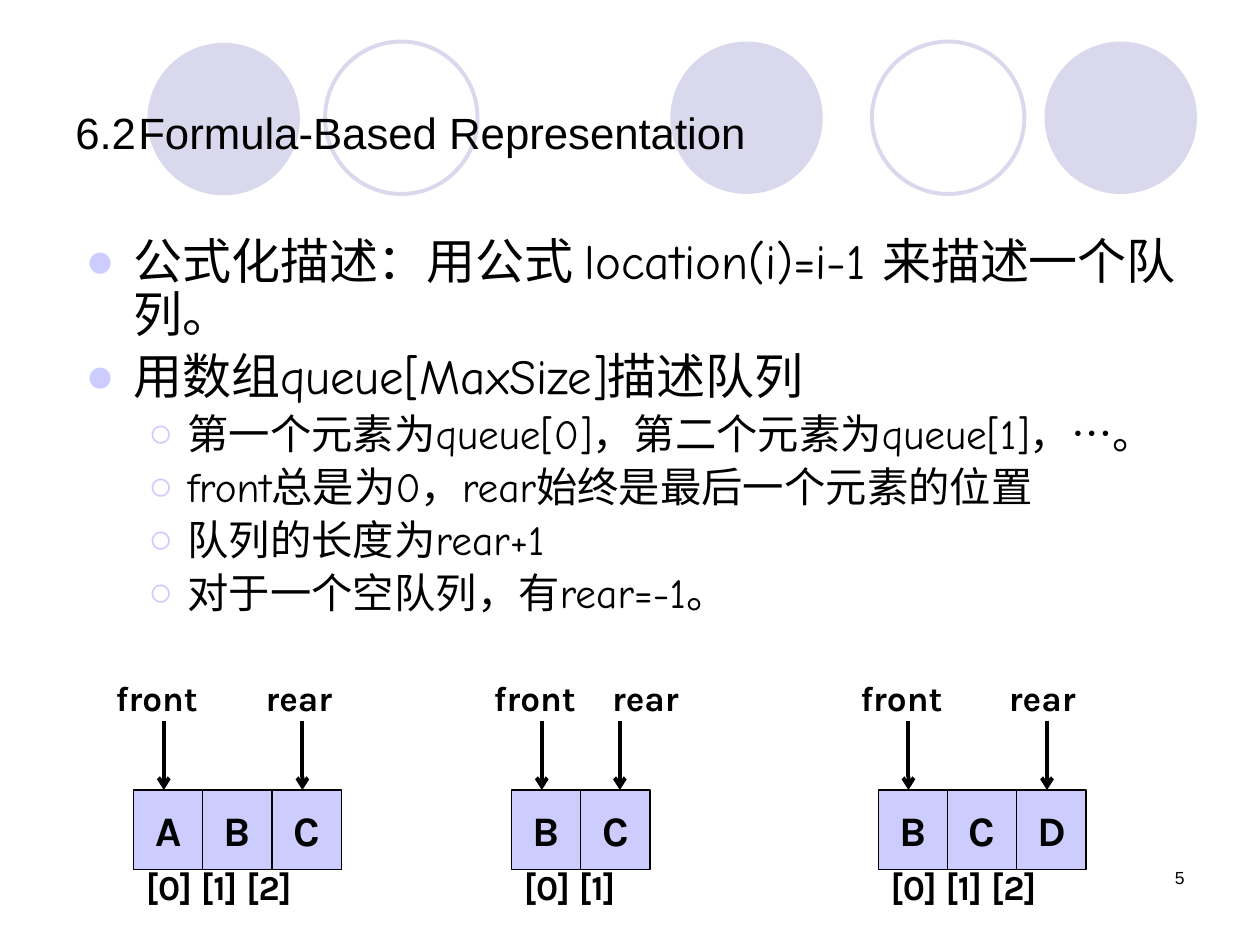
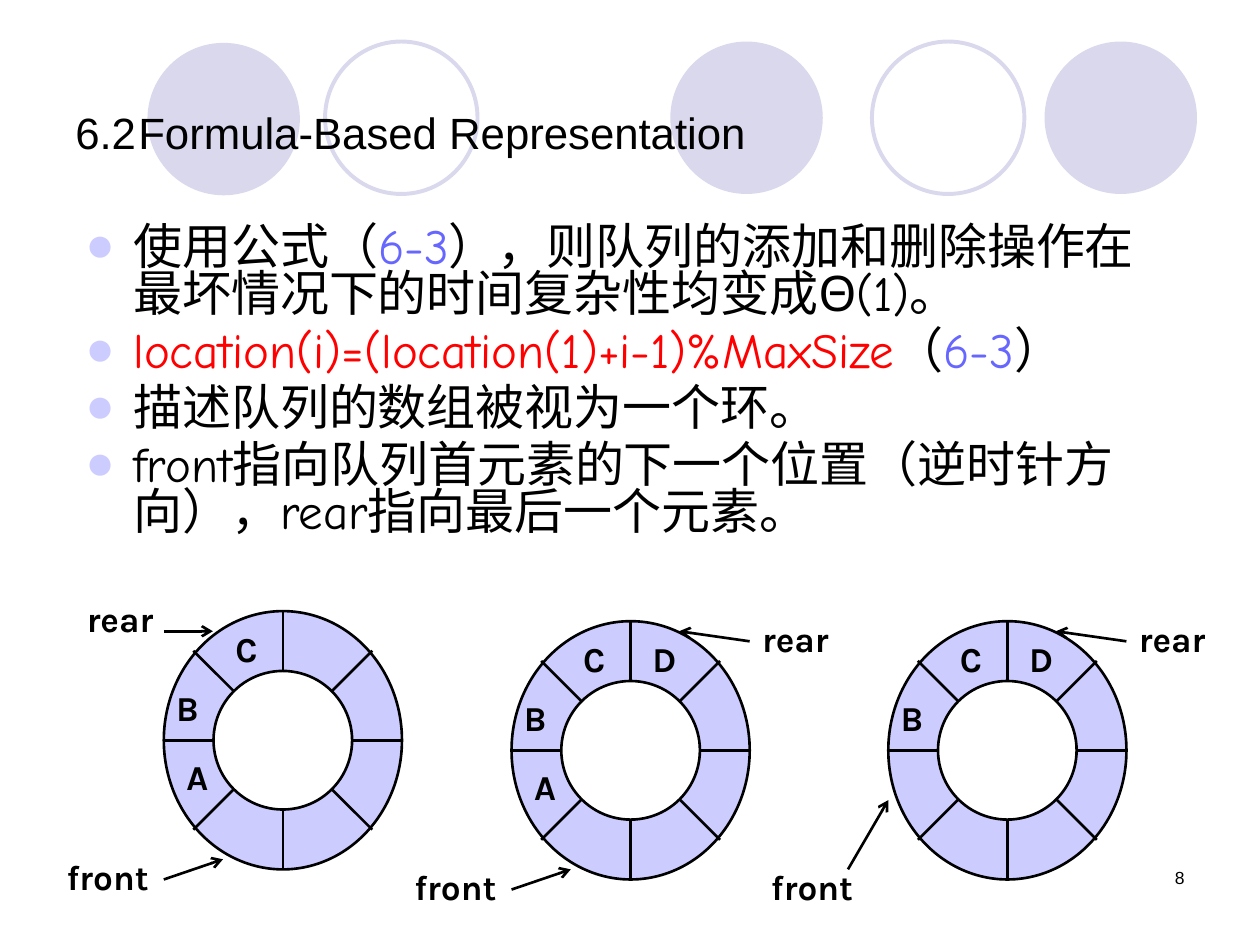
from dataclasses import dataclass

from lxml.etree import SubElement
from pptx import Presentation
from pptx.dml.color import RGBColor
from pptx.enum.shapes import MSO_CONNECTOR, MSO_SHAPE
from pptx.enum.text import MSO_ANCHOR, PP_ALIGN
from pptx.oxml.ns import qn
from pptx.util import Inches, Pt

# Shared colours and fonts
BLACK, WHITE, RED = "000000", "FFFFFF", "FF0000"
CIRCLE, LILAC, REFERENCE = "D9D8EC", "CCCCFF", "6767FF"
TITLE_FONT, BODY_FONT, LABEL_FONT = "Arial", "Comic Neue", "Karla"
TITLE = "6.2\tFormula-Based Representation"

Point = tuple[float, float]
Box = tuple[float, float, float, float]


@dataclass(frozen=True)
class Span:
    text: str
    color: str = BLACK


@dataclass(frozen=True)
class Bullet:
    spans: tuple[Span, ...]
    level: int = 0


@dataclass(frozen=True)
class BulletStyle:
    char: str
    size: float
    margin: float
    hanging: float


@dataclass(frozen=True)
class Queue:
    x: float
    items: str
    rear_tip: float
    rear_label: float


@dataclass(frozen=True)
class Pointer:
    """Label and arrow, measured from the top left of a ring."""
    text: str
    label: Point
    start: Point
    end: Point


@dataclass(frozen=True)
class Ring:
    x: float
    y: float
    items: str
    pointers: tuple[Pointer, Pointer]


BULLETS = (BulletStyle("●", 28, 0.38, 0.38), BulletStyle("○", 23.6, 0.81, 0.31))


# Basic drawing
def rgb(color: str) -> RGBColor:
    return RGBColor.from_string(color)


def write(p, text: str, *, size: float, font: str, color: str = BLACK,
          bold: bool = False, align=PP_ALIGN.LEFT) -> None:
    p.alignment = align
    r = p.add_run()
    r.text = text
    r.font.size, r.font.name, r.font.bold = Pt(size), font, bold
    r.font.color.rgb = rgb(color)


def add_frame(shapes, box: Box, anchor=MSO_ANCHOR.TOP):
    tf = shapes.add_textbox(*map(Inches, box)).text_frame
    tf.word_wrap = True
    tf.vertical_anchor = anchor
    return tf


def add_label(shapes, text: str, x: float, y: float, width: float) -> None:
    tf = add_frame(shapes, (x, y, width, 0.43))
    write(tf.paragraphs[0], text, size=20, font=LABEL_FONT, bold=True)


def add_shape(shapes, kind, box: Box, *, fill: str = "", line: str = "",
              width: float = 0):
    sp = shapes.add_shape(kind, *map(Inches, box))
    sp.shadow.inherit = False
    if fill:
        sp.fill.solid()
        sp.fill.fore_color.rgb = rgb(fill)
    else:
        sp.fill.background()
    if line:
        sp.line.color.rgb = rgb(line)
        sp.line.width = Pt(width)
    else:
        sp.line.fill.background()
    return sp


def add_line(shapes, start: Point, end: Point, *, width: float = 1.5,
             arrow: bool = False) -> None:
    c = shapes.add_connector(MSO_CONNECTOR.STRAIGHT, *map(Inches, start + end))
    c.line.color.rgb = rgb(BLACK)
    c.line.width = Pt(width)
    if arrow:
        SubElement(c.line._get_or_add_ln(), qn("a:tailEnd"), type="arrow")
    SubElement(c._element.spPr, qn("a:effectLst"))


# Shared parts of a slide
def add_slide(prs, number: int):
    s = prs.slides.add_slide(prs.slide_layouts[6])
    s.background.fill.solid()
    s.background.fill.fore_color.rgb = rgb(WHITE)
    for x, y in ((5.32, 0.33), (8.29, 0.33), (1.17, 0.34)):
        add_shape(s.shapes, MSO_SHAPE.OVAL, (x, y, 1.21, 1.21), fill=CIRCLE)
    for x in (6.92, 2.58):
        add_shape(s.shapes, MSO_SHAPE.OVAL, (x, 0.33, 1.21, 1.21),
                  line=CIRCLE, width=2.25)
    tf = add_frame(s.shapes, (7.17, 6.83, 2.33, 0.5))
    write(tf.paragraphs[0], str(number), size=10, font=TITLE_FONT,
          align=PP_ALIGN.RIGHT)
    tf = add_frame(s.shapes, (0.5, 0.54, 9, 1.01), MSO_ANCHOR.MIDDLE)
    write(tf.paragraphs[0], TITLE, size=25, font=TITLE_FONT)
    return s


def add_bullets(shapes, box: Box, bullets: list[Bullet], spacing: float) -> None:
    tf = add_frame(shapes, box)
    for i, bullet in enumerate(bullets):
        style = BULLETS[bullet.level]
        p = tf.add_paragraph() if i else tf.paragraphs[0]
        p.level = bullet.level
        p.line_spacing = spacing
        p.space_before = Pt(0.2 * style.size)
        for span in bullet.spans:
            write(p, span.text, size=style.size, font=BODY_FONT, color=span.color)
        pPr = p._p.get_or_add_pPr()
        pPr.set("marL", str(Inches(style.margin)))
        pPr.set("indent", str(-Inches(style.hanging)))
        SubElement(SubElement(pPr, qn("a:buClr")), qn("a:srgbClr"), val=LILAC)
        SubElement(pPr, qn("a:buFont"), typeface=TITLE_FONT)
        SubElement(pPr, qn("a:buChar"), char=style.char)


# Array diagram
def add_queue(shapes, q: Queue) -> None:
    cell, top, height = 0.55, 6.27, 0.63
    indexes = " ".join(f"[{i}]" for i in range(len(q.items)))
    add_label(shapes, indexes, q.x, 6.82, 1.73)
    for tip in (0.24, q.rear_tip):
        add_line(shapes, (q.x + tip, 5.72), (q.x + tip, top), width=2.25, arrow=True)
    add_label(shapes, "front", q.x - 0.24, 5.32, 0.95)
    add_label(shapes, "rear", q.x + q.rear_label, 5.32, 0.87)
    for i, item in enumerate(q.items):
        sp = add_shape(shapes, MSO_SHAPE.RECTANGLE,
                       (q.x + i * cell, top, cell, height),
                       fill=LILAC, line=BLACK, width=0.75)
        tf = sp.text_frame
        tf.word_wrap = False
        tf.vertical_anchor = MSO_ANCHOR.MIDDLE
        write(tf.paragraphs[0], item, size=24, font=LABEL_FONT, bold=True,
              align=PP_ALIGN.CENTER)


# Ring diagram
ITEM_PLACES = {"A": (0.08, 1.1), "B": (0, 0.55), "C": (0.47, 0.08), "D": (1.02, 0.08)}
LABEL_WIDTHS = {"front": 0.95, "rear": 0.79}


def add_ring(shapes, ring: Ring) -> None:
    width, height, hole = 1.89, 2.05, 1.1
    cx, cy = ring.x + width / 2, ring.y + height / 2
    group = shapes.add_group_shape().shapes
    for w, h, fill in ((width, height, LILAC), (hole, hole, WHITE)):
        add_shape(group, MSO_SHAPE.OVAL, (cx - w / 2, cy - h / 2, w, h),
                  fill=fill, line=BLACK, width=1.5)
    for dx in (-1, 0, 1):
        for dy in (-1, 0, 1):
            if dx and dy:
                inner, outer = (0.39, 0.39), (0.71, 0.71)
            elif dx or dy:
                inner, outer = (hole / 2, hole / 2), (width / 2, height / 2)
            else:
                continue
            add_line(group, (cx + dx * inner[0], cy + dy * inner[1]),
                     (cx + dx * outer[0], cy + dy * outer[1]))

    def place(offset: Point) -> Point:
        return ring.x + offset[0], ring.y + offset[1]

    for item in ring.items:
        add_label(shapes, item, *place(ITEM_PLACES[item]), 0.39)
    for ptr in ring.pointers:
        add_label(shapes, ptr.text, *place(ptr.label), LABEL_WIDTHS[ptr.text])
        add_line(shapes, place(ptr.start), place(ptr.end), arrow=True)


# Content
ARRAY_BULLETS = [
    Bullet((Span("公式化描述：用公式 location(i)=i-1 来描述一个队列。"),)),
    Bullet((Span("用数组queue[MaxSize]描述队列"),)),
    Bullet((Span("第一个元素为queue[0]，第二个元素为queue[1]，…。"),), 1),
    Bullet((Span("front总是为0，rear始终是最后一个元素的位置"),), 1),
    Bullet((Span("队列的长度为rear+1"),), 1),
    Bullet((Span("对于一个空队列，有rear=-1。"),), 1),
]
FORMULA = Span("6-3", REFERENCE)
RING_BULLETS = [
    Bullet((Span("使用公式（"), FORMULA,
            Span("），则队列的添加和删除操作在最坏情况下的时间复杂性均变成Θ(1)。"))),
    Bullet((Span("location(i)=(location(1)+i-1)%MaxSize", RED),
            Span("（"), FORMULA, Span("）"))),
    Bullet((Span("描述队列的数组被视为一个环。"),)),
    Bullet((Span("front指向队列首元素的下一个位置（逆时针方向），rear指向最后一个元素。"),)),
]
QUEUES = (Queue(1.06, "ABC", 1.34, 0.95), Queue(4.06, "BC", 0.86, 0.7),
          Queue(6.97, "BCD", 1.34, 0.94))

FRONT_LOW = Pointer("front", (-0.87, 1.89), (0, 2.13), (0.47, 1.97))
FRONT_NEXT = Pointer("front", (-1.03, 1.89), (-0.32, 1.97), (0, 1.42))
REAR_LEFT = Pointer("rear", (-0.71, -0.16), (0, 0.16), (0.39, 0.16))
REAR_RIGHT = Pointer("rear", (1.89, -0.08), (1.89, 0.16), (1.33, 0.08))
RINGS = (Ring(1.3, 4.85, "ABC", (FRONT_LOW, REAR_LEFT)),
         Ring(4.06, 4.93, "ABCD", (FRONT_LOW, REAR_RIGHT)),
         Ring(7.05, 4.93, "BCD", (FRONT_NEXT, REAR_RIGHT)))


def main() -> None:
    prs = Presentation()
    prs.slide_width, prs.slide_height = Inches(10), Inches(7.5)

    # Queue in an array
    s = add_slide(prs, 5)
    add_bullets(s.shapes, (0.58, 1.83, 8.85, 3.27), ARRAY_BULLETS, 0.9)
    for queue in QUEUES:
        add_queue(s.shapes, queue)

    # Queue in a ring
    s = add_slide(prs, 8)
    add_bullets(s.shapes, (0.58, 1.75, 8.85, 2.59), RING_BULLETS, 0.8)
    for ring in RINGS:
        add_ring(s.shapes, ring)

    prs.save("out.pptx")


main()
